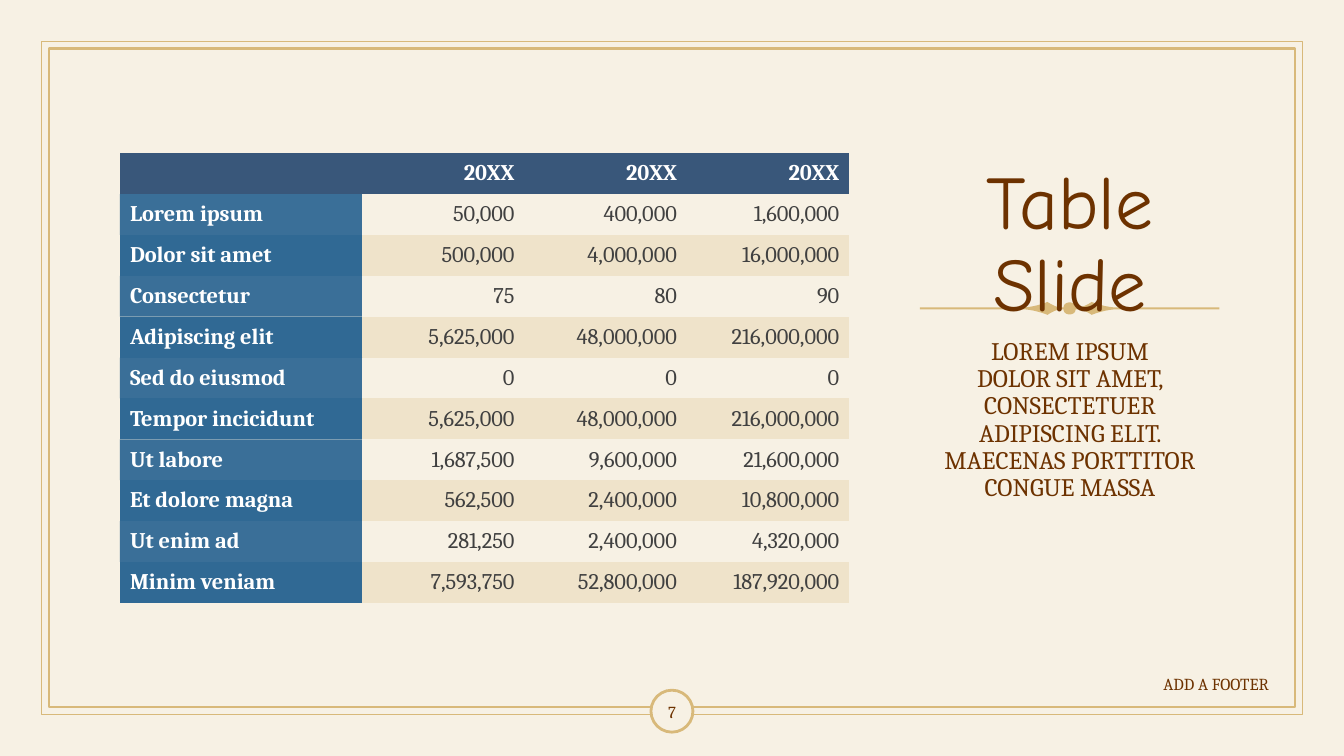
from lxml import etree
from pptx import Presentation
from pptx.dml.color import RGBColor
from pptx.enum.shapes import MSO_SHAPE as Preset
from pptx.enum.text import MSO_ANCHOR as Anchor, PP_ALIGN as Align
from pptx.oxml.ns import qn
from pptx.util import Pt

CREAM = RGBColor(0xF7, 0xF1, 0xE4)
SAND = RGBColor(0xEF, 0xE3, 0xCA)
GOLD = RGBColor(0xD8, 0xB9, 0x7A)
NAVY = RGBColor(0x39, 0x57, 0x7A)
BLUE = RGBColor(0x30, 0x69, 0x94)
BROWN = RGBColor(0x6D, 0x32, 0x00)
GRAY = RGBColor(0x40, 0x40, 0x40)
WHITE = RGBColor(0xFF, 0xFF, 0xFF)

TITLE_FONT = "Comic Neue"
BODY_FONT = "Cambria"
NO_STYLE_NO_GRID = "{2D5ABB26-0587-4C30-8999-92F81FD0307C}"

COLUMN_WIDTHS = [173, 116, 116, 116]
ROW_HEIGHT = 29.2
ROWS = [
    ["", "20XX", "20XX", "20XX"],
    ["Lorem ipsum", "50,000", "400,000", "1,600,000"],
    ["Dolor sit amet", "500,000", "4,000,000", "16,000,000"],
    ["Consectetur", "75", "80", "90"],
    ["Adipiscing elit", "5,625,000", "48,000,000", "216,000,000"],
    ["Sed do eiusmod", "0", "0", "0"],
    ["Tempor incicidunt", "5,625,000", "48,000,000", "216,000,000"],
    ["Ut labore", "1,687,500", "9,600,000", "21,600,000"],
    ["Et dolore magna", "562,500", "2,400,000", "10,800,000"],
    ["Ut enim ad", "281,250", "2,400,000", "4,320,000"],
    ["Minim veniam", "7,593,750", "52,800,000", "187,920,000"],
]

# Upper right quarter of the divider, relative to its centre
DIVIDER_CENTRE = (764, 220.3)
DIVIDER_CURVES = [
    [(0, -4.3), (1.4, -4.3), (4.3, -3.6), (4.3, -0.7)],
    [(6.5, -0.7), (8.6, -0.7), (12.2, -2.2), (15.8, -4.6)],
    [(15.8, -4.6), (15.8, -4.6), (23, -1.5), (31.7, -0.7)],
]
DIVIDER_END = (107, -0.7)


def write_text(frame, text, *, size=12, font=BODY_FONT, color=BROWN, bold=False,
               align=Align.CENTER, line_spacing=None):
    """Fill the first paragraph; a newline in the text is a line break."""
    paragraph = frame.paragraphs[0]
    paragraph.alignment = align
    paragraph.line_spacing = line_spacing
    paragraph.font.size = Pt(size)
    for index, line in enumerate(text.splitlines()):
        if index:
            paragraph.add_line_break()
        run = paragraph.add_run()
        run.text = line
        run.font.size = Pt(size)
        run.font.name = font
        run.font.bold = bold
        run.font.color.rgb = color


def add_text(slide, box, text, *, anchor=Anchor.MIDDLE, **text_format):
    frame = slide.shapes.add_textbox(*map(Pt, box)).text_frame
    frame.word_wrap = True
    frame.vertical_anchor = anchor
    write_text(frame, text, **text_format)


def add_outline(slide, preset, box, line_width, fill=None):
    shape = slide.shapes.add_shape(preset, *map(Pt, box))
    shape.shadow.inherit = False
    if fill is None:
        shape.fill.background()
    else:
        shape.fill.solid()
        shape.fill.fore_color.rgb = fill
    shape.line.color.rgb = GOLD
    shape.line.width = Pt(line_width)


def curve_points(curve, steps=8):
    """Points along a cubic Bezier curve, both ends included."""
    for step in range(steps + 1):
        t = step / steps
        weights = ((1 - t) ** 3, 3 * t * (1 - t) ** 2, 3 * t * t * (1 - t), t ** 3)
        yield tuple(sum(w * point[axis] for w, point in zip(weights, curve))
                    for axis in (0, 1))


def add_divider(slide):
    """Mirror the quarter outline around the centre into one closed ornament."""
    quarter = [point for curve in DIVIDER_CURVES for point in curve_points(curve)]
    quarter.append(DIVIDER_END)
    outline = []
    for sign_x, sign_y, step in ((1, 1, 1), (1, -1, -1), (-1, -1, 1), (-1, 1, -1)):
        outline += [(Pt(DIVIDER_CENTRE[0] + sign_x * x), Pt(DIVIDER_CENTRE[1] + sign_y * y))
                    for x, y in quarter[::step]]
    builder = slide.shapes.build_freeform(*outline[0])
    builder.add_line_segments(outline[1:], close=True)
    shape = builder.convert_to_shape()
    shape.shadow.inherit = False
    shape.fill.solid()
    shape.fill.fore_color.rgb = GOLD
    shape.line.fill.background()


def fill_cell(cell, color, opacity=100):
    cell.fill.solid()
    cell.fill.fore_color.rgb = color
    if opacity < 100:
        color_element = next(cell._tc.iter(qn("a:srgbClr")))
        etree.SubElement(color_element, qn("a:alpha"), val=str(opacity * 1000))


def add_figures_table(slide, left, top):
    frame = slide.shapes.add_table(
        len(ROWS), len(COLUMN_WIDTHS), Pt(left), Pt(top),
        Pt(sum(COLUMN_WIDTHS)), Pt(ROW_HEIGHT * len(ROWS)))
    table = frame.table
    table.horz_banding = False
    next(table._tbl.iter(qn("a:tableStyleId"))).text = NO_STYLE_NO_GRID
    for column, width in zip(table.columns, COLUMN_WIDTHS):
        column.width = Pt(width)
    for row_index, values in enumerate(ROWS):
        table.rows[row_index].height = Pt(ROW_HEIGHT)
        odd = row_index % 2 == 1
        for column_index, value in enumerate(values):
            cell = table.cell(row_index, column_index)
            cell.vertical_anchor = Anchor.MIDDLE
            is_label = column_index == 0
            is_heading = row_index == 0 or is_label
            if row_index == 0:
                fill_cell(cell, NAVY)
            elif is_label:
                fill_cell(cell, BLUE, opacity=95 if odd else 100)
            else:
                fill_cell(cell, CREAM if odd else SAND)
            write_text(cell.text_frame, value, size=16, bold=is_heading,
                       color=WHITE if is_heading else GRAY,
                       align=Align.LEFT if is_label else Align.RIGHT)


def main():
    presentation = Presentation()
    presentation.slide_width = Pt(960)
    presentation.slide_height = Pt(540)
    slide = presentation.slides.add_slide(presentation.slide_layouts[6])
    slide.background.fill.solid()
    slide.background.fill.fore_color.rgb = CREAM

    add_outline(slide, Preset.RECTANGLE, (29.5, 29.5, 901, 481), 1)
    add_outline(slide, Preset.RECTANGLE, (35, 34.5, 890, 470.5), 2)
    add_outline(slide, Preset.OVAL, (465, 493, 30, 30), 2, fill=CREAM)
    add_divider(slide)
    add_figures_table(slide, 85.7, 109.4)

    add_text(slide, (653, 147, 222.5, 57), "Table Slide",
             size=54, font=TITLE_FONT, line_spacing=0.9)
    add_text(slide, (653, 238.3, 222.5, 168.5),
             "LOREM IPSUM\nDOLOR SIT AMET, CONSECTETUER ADIPISCING ELIT. "
             "MAECENAS PORTTITOR CONGUE MASSA",
             size=18, line_spacing=0.9, anchor=Anchor.TOP)
    add_text(slide, (646, 474, 267.5, 29), "ADD A FOOTER", align=Align.RIGHT)
    add_text(slide, (458.5, 494, 43, 29), "7")
    presentation.save("out.pptx")


if __name__ == "__main__":
    main()
